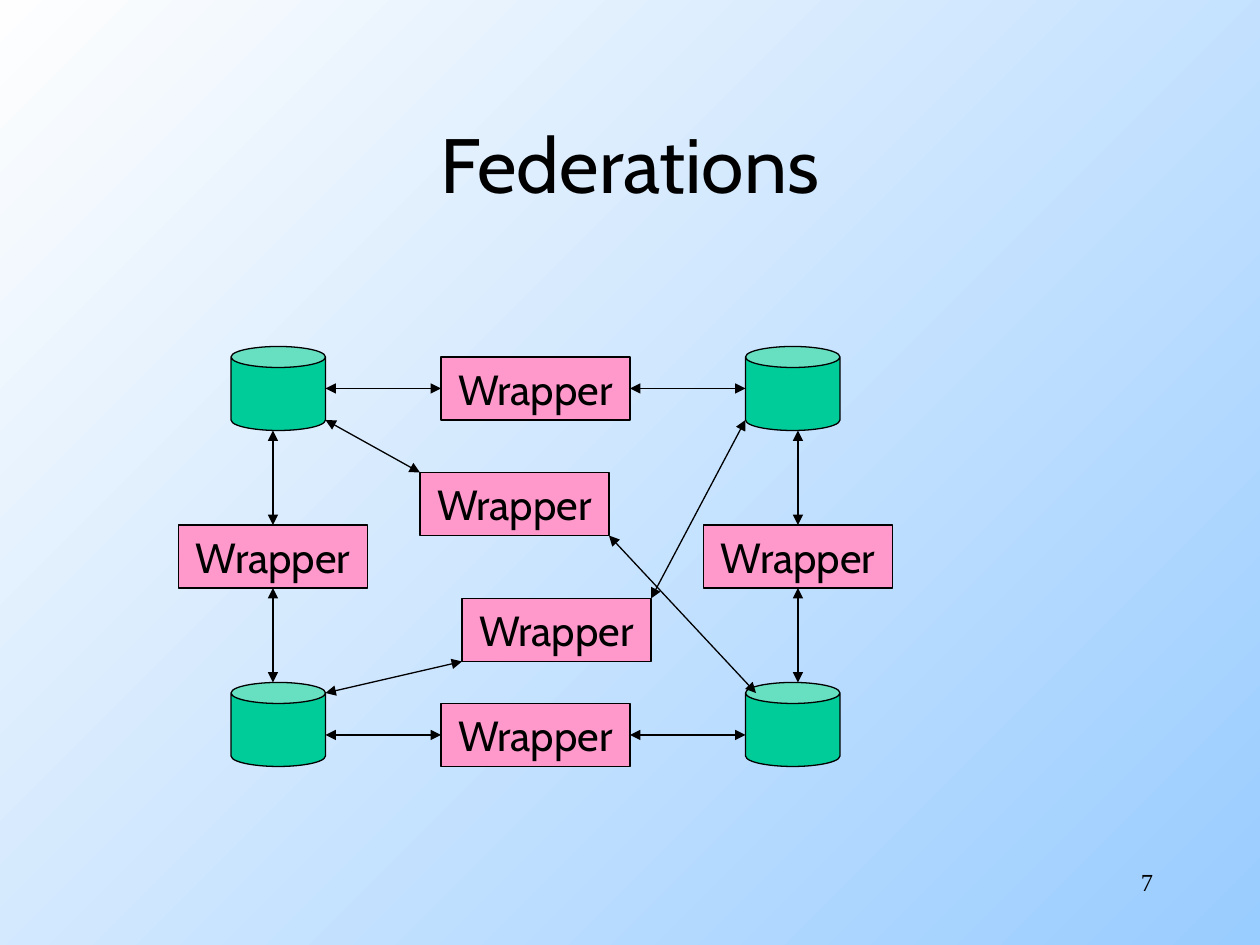
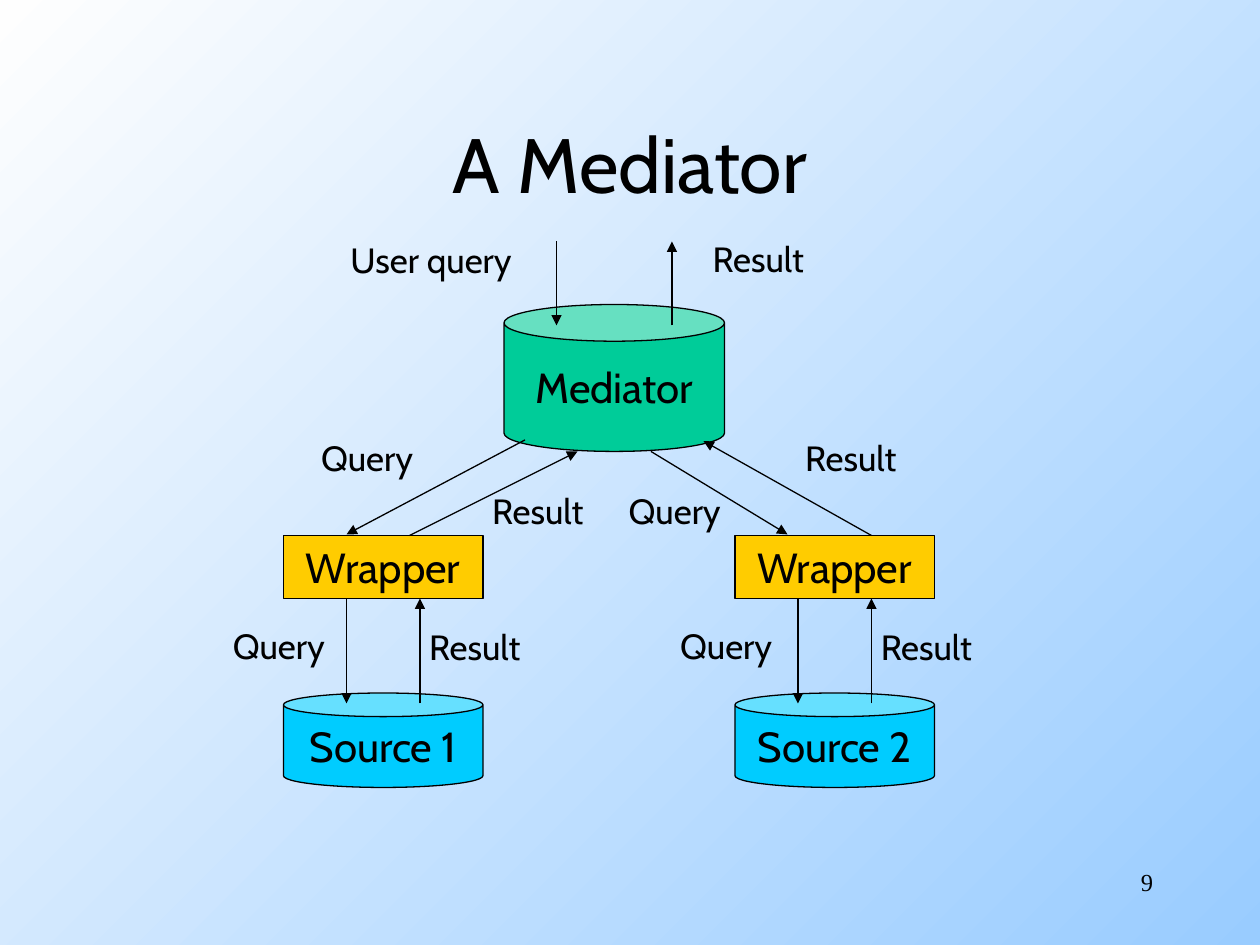
import dataclasses

import lxml.etree
import pptx
import pptx.dml.color
import pptx.enum.shapes
import pptx.enum.text
import pptx.oxml.ns
import pptx.util

PX = pptx.util.Inches(1) // 120
CAN = pptx.enum.shapes.MSO_SHAPE.CAN
BOX = pptx.enum.shapes.MSO_SHAPE.RECTANGLE
ALIGN = pptx.enum.text.PP_ALIGN
MIDDLE = pptx.enum.text.MSO_ANCHOR.MIDDLE
qn = pptx.oxml.ns.qn


@dataclasses.dataclass(frozen=True)
class Theme:
    ink = pptx.dml.color.RGBColor.from_string("000000")
    green = pptx.dml.color.RGBColor.from_string("00CC99")
    pink = pptx.dml.color.RGBColor.from_string("FF99CC")
    gold = pptx.dml.color.RGBColor.from_string("FFCC00")
    cyan = pptx.dml.color.RGBColor.from_string("00CCFF")
    sky = pptx.dml.color.RGBColor.from_string("99CCFF")
    white = pptx.dml.color.RGBColor.from_string("FEFEFE")
    font = "Cabin"
    number_font = "Times New Roman"
    title_size = pptx.util.Pt(44)
    node_size = pptx.util.Pt(24)
    label_size = pptx.util.Pt(20)
    number_size = pptx.util.Pt(14)
    line_width = pptx.util.Pt(0.75)


theme = Theme()


def write(shape, text, size, align, font=theme.font):
    shape.text_frame.text = text
    para = shape.text_frame.paragraphs[0]
    para.alignment = align
    span = para.runs[0]
    span.font.name = font
    span.font.size = size
    span.font.color.rgb = theme.ink


def draw(page, nodes, arrows, ends):
    for kind, fill, text, *bounds in nodes:
        node = page.shapes.add_shape(kind, *[value * PX for value in bounds])
        node.shadow.inherit = False
        node.fill.solid()
        node.fill.fore_color.rgb = fill
        node.line.color.rgb = theme.ink
        node.line.width = theme.line_width
        if text:
            node.text_frame.word_wrap = False
            node.text_frame.vertical_anchor = MIDDLE
            write(node, text, theme.node_size, ALIGN.CENTER)
    for points in arrows:
        arrow = page.shapes.add_connector(
            pptx.enum.shapes.MSO_CONNECTOR.STRAIGHT, *[value * PX for value in points]
        )
        arrow.line.color.rgb = theme.ink
        arrow.line.width = theme.line_width
        properties = arrow._element.spPr
        outline = properties.find(qn("a:ln"))
        for end in ends:
            lxml.etree.SubElement(outline, qn(end), type="triangle")
        lxml.etree.SubElement(properties, qn("a:effectLst"))


deck = pptx.Presentation()
deck.slide_width = 1200 * PX
deck.slide_height = 900 * PX

backdrop = deck.slide_master.background.fill
backdrop.gradient()
backdrop.gradient_angle = 135
for stop, color, position in zip(backdrop.gradient_stops, (theme.sky, theme.white), (0, 1)):
    stop.color.rgb = color
    stop.position = position

pages = []
for heading, number in (("Federations", "7"), ("A Mediator", "9")):
    page = deck.slides.add_slide(deck.slide_layouts[5])
    title = page.shapes.title
    title.left, title.top, title.width, title.height = 90 * PX, 80 * PX, 1020 * PX, 150 * PX
    title.text_frame.vertical_anchor = MIDDLE
    write(title, heading, theme.title_size, ALIGN.CENTER)
    number_box = page.shapes.add_textbox(860 * PX, 820 * PX, 250 * PX, 60 * PX)
    number_box.text_frame.word_wrap = True
    write(number_box, number, theme.number_size, ALIGN.RIGHT, theme.number_font)
    pages.append(page)
federation, mediator = pages

databases = [(CAN, theme.green, "", x, y, 90, 80) for x in (220, 710) for y in (330, 650)]
wrappers = [
    (BOX, theme.pink, "Wrapper", x, y, 180, 60)
    for x, y in ((170, 500), (440, 570), (400, 450), (420, 670), (420, 340), (670, 500))
]
links = [
    (310, 400, 400, 450),
    (580, 510, 720, 660),
    (310, 660, 440, 630),
    (620, 570, 710, 400),
]
for x in (260, 760):
    links += [(x, 410, x, 500), (x, 560, x, 650)]
for y in (370, 700):
    links += [(310, y, 420, y), (600, y, 710, y)]
draw(federation, databases + wrappers, links, ("a:headEnd", "a:tailEnd"))

nodes = [(CAN, theme.green, "Mediator", 480, 290, 210, 140)]
flows = [
    (530, 230, 530, 310),
    (640, 310, 640, 230),
    (500, 419, 330, 509),
    (390, 510, 550, 430),
    (620, 430, 750, 509),
    (830, 510, 670, 420),
]
for source, x in (("Source 1", 270), ("Source 2", 700)):
    nodes += [
        (BOX, theme.gold, "Wrapper", x, 510, 190, 60),
        (CAN, theme.cyan, source, x, 660, 190, 90),
    ]
    flows += [(x + 60, 570, x + 60, 670), (x + 130, 670, x + 130, 570)]
draw(mediator, nodes, flows, ("a:tailEnd",))

labels = {
    "User query": (197, [(322, 221)]),
    "Query": (120, [(294, 410), (587, 460), (210, 589), (636, 589)]),
    "Result": (121, [(667, 220), (755, 410), (457, 460), (397, 590), (827, 590)]),
}
for text, (width, places) in labels.items():
    for x, y in places:
        label = mediator.shapes.add_textbox(x * PX, y * PX, width * PX, 53 * PX)
        label.text_frame.word_wrap = False
        label.text_frame.auto_size = pptx.enum.text.MSO_AUTO_SIZE.SHAPE_TO_FIT_TEXT
        write(label, text, theme.label_size, ALIGN.LEFT)

deck.save("out.pptx")
